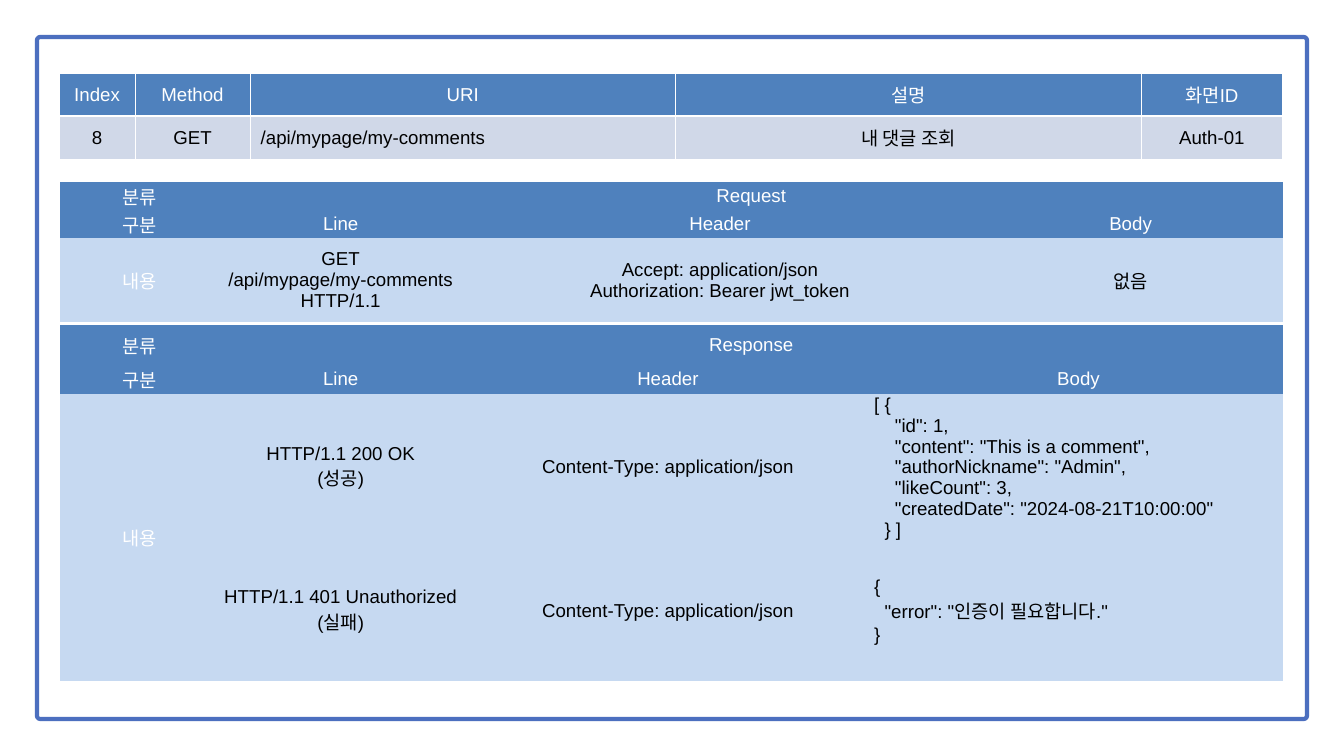
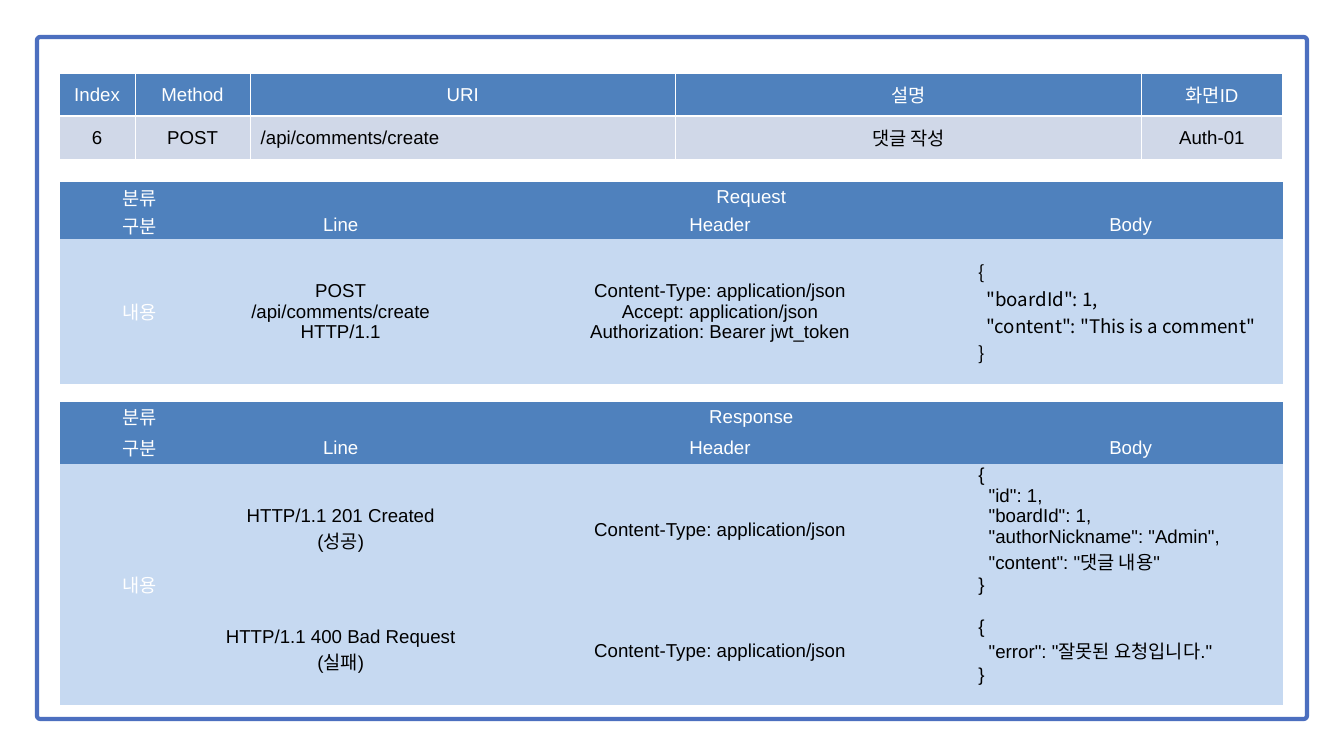
"""Builds two slides that describe the calls of a web service."""
from lxml.etree import SubElement
from pptx import Presentation
from pptx.dml.color import RGBColor
from pptx.enum.shapes import MSO_SHAPE
from pptx.enum.text import MSO_ANCHOR, PP_ALIGN
from pptx.oxml.ns import qn
from pptx.util import Inches, Pt

BLUE, PALE, GREY = "4F81BD", "C6D9F1", "D0D8E8"
WHITE, BLACK, EDGE = "FFFFFF", "000000", "4C6FBF"
SANS, NOTO = "Arial", "Noto Sans CJK KR"
PLAIN = "{2D5ABB26-0587-4C30-8999-92F81FD0307C}"
SPACE = {SANS: 0.077, NOTO: 0.06}
THIN = (0.01, 0.01, 0.01, 0)
WIDE = (0.16, 0.08, 0.16, 0.08)
FRAME = (0.55, 0.55, 18.9, 10.15)
TOP = (0.88, 1.09, 18.21, 1.28)
COLS = (2.36, 3.62, 7.67, 4.55)
JSON = "Content-Type: application/json"
TOKEN = "Authorization: Bearer jwt_token"

PAGES = [
    {
        "call": ("8", "GET", "/api/mypage/my-comments", "내 댓글 조회", "Auth-01"),
        "parts": [
            {
                "title": "Request", "box": (0.9, 2.71, 18.21, 1.95),
                "cols": COLS, "rows": (0.25, 0.23, 1.26),
                "cells": [(
                    ["GET", "/api/mypage/my-comments HTTP/1.1"],
                    ["Accept: application/json", TOKEN],
                    ["없음"],
                )],
            },
            {
                "title": "Response", "box": (0.9, 4.84, 18.21, 5.45),
                "cols": (2.36, 3.62, 6.12, 6.1), "rows": (0.58, 0.44, 2.09, 2.09),
                "cells": [
                    (["HTTP/1.1 200 OK", "(성공)"], [JSON], [
                        "[ {",
                        '    "id": 1,',
                        '    "content": "This is a comment",',
                        '    "authorNickname": "Admin",',
                        '    "likeCount": 3,',
                        '    "createdDate": "2024-08-21T10:00:00"',
                        "  } ]",
                    ]),
                    (["HTTP/1.1 401 Unauthorized", "(실패)"], [JSON],
                     ["{", '  "error": "인증이 필요합니다."', "}"]),
                ],
            },
        ],
    },
    {
        "call": ("6", "POST", "/api/comments/create", "댓글 작성", "Auth-01"),
        "parts": [
            {
                "title": "Request", "box": (0.9, 2.71, 18.21, 2.94),
                "cols": COLS, "rows": (0.43, 0.32, 2.16), "font": NOTO,
                "cells": [(
                    ["POST", "/api/comments/create HTTP/1.1"],
                    [JSON, "Accept: application/json", TOKEN],
                    ["{", '  "boardId": 1,', '  "content": "This is a comment"', "}"],
                )],
            },
            {
                "title": "Response", "box": (0.9, 5.98, 18.21, 4.56),
                "cols": COLS, "rows": (0.43, 0.49, 0.97, 1.63),
                "cells": [
                    (["HTTP/1.1 201 Created", "(성공)"], [JSON], [
                        "{",
                        '  "id": 1,',
                        '  "boardId": 1,',
                        '  "authorNickname": "Admin",',
                        '  "content": "댓글 내용"',
                        "}",
                    ]),
                    (["HTTP/1.1 400 Bad Request", "(실패)"], [JSON],
                     ["{", '  "error": "잘못된 요청입니다."', "}"]),
                ],
            },
        ],
    },
]


def paint(color, value):
    """Set a colour from a hex string."""
    color.rgb = RGBColor.from_string(value)


def rule(cell, low):
    """Draw white borders round a cell, the bottom one of the given width."""
    props = cell._tc.get_or_add_tcPr()
    for side, width in zip("LRTB", (1, 1, 1, low)):
        line = SubElement(props, qn(f"a:ln{side}"), w=str(Pt(width)))
        SubElement(SubElement(line, qn("a:solidFill")), qn("a:srgbClr"), val=WHITE)


def write(cell, lines, fill, ink=BLACK, inset=THIN, left=False, font=SANS):
    """Fill a cell with lines of text, where leading spaces become indents."""
    cell.fill.solid()
    paint(cell.fill.fore_color, fill)
    cell.vertical_anchor = MSO_ANCHOR.MIDDLE
    (cell.margin_left, cell.margin_top,
     cell.margin_right, cell.margin_bottom) = map(Inches, inset)
    frame = cell.text_frame
    for i, line in enumerate(lines):
        para = frame.add_paragraph() if i else frame.paragraphs[0]
        para.text = line.lstrip()
        para.alignment = PP_ALIGN.LEFT if left else PP_ALIGN.CENTER
        para.font.name, para.font.size = font, Pt(20)
        paint(para.font.color, ink)
        depth = len(line) - len(line.lstrip())
        if depth:
            para._p.get_or_add_pPr().set("marL", str(Inches(depth * SPACE[font])))


def grid(slide, box, cols, rows):
    """Add a table without a style and return it."""
    shape = slide.shapes.add_table(len(rows), len(cols), *map(Inches, box))
    table = shape.table
    table._tbl.tblPr.find(qn("a:tableStyleId")).text = PLAIN
    for col, width in zip(table.columns, cols):
        col.width = Inches(width)
    for row, height in zip(table.rows, rows):
        row.height = Inches(height)
    shape.height = Inches(box[3])
    return table


def border(slide, box):
    """Draw the rounded frame of a slide."""
    shape = slide.shapes.add_shape(MSO_SHAPE.ROUNDED_RECTANGLE, *map(Inches, box))
    shape.adjustments[0] = 0.005
    shape.shadow.inherit = False
    shape.fill.solid()
    paint(shape.fill.fore_color, WHITE)
    paint(shape.line.color, EDGE)
    shape.line.width = Pt(4.5)


def top(slide, box, call):
    """Add the table that sums up the call."""
    table = grid(slide, box, (1.13, 1.71, 6.33, 6.94, 2.09), (box[3] / 2,) * 2)
    heads = ("Index", "Method", "URI", "설명", "화면ID")
    for i, (head, value) in enumerate(zip(heads, call)):
        for row, low in enumerate((3, 1)):
            rule(table.cell(row, i), low)
        write(table.cell(0, i), [head], BLUE, WHITE, WIDE)
        write(table.cell(1, i), [value], GREY, inset=WIDE, left=head == "URI")


def part(slide, box, title, cols, rows, cells, font=SANS):
    """Add the table of a request or a response."""
    table = grid(slide, box, cols, rows)
    table.cell(0, 1).merge(table.cell(0, 3))
    if len(cells) > 1:
        table.cell(2, 0).merge(table.cell(len(rows) - 1, 0))
    for i, text in enumerate(("분류", title)):
        write(table.cell(0, i), [text], BLUE, WHITE)
    for i, text in enumerate(("구분", "Line", "Header", "Body")):
        write(table.cell(1, i), [text], BLUE, WHITE)
    write(table.cell(2, 0), ["내용"], PALE, WHITE)
    for y, (line, head, body) in enumerate(cells, 2):
        write(table.cell(y, 1), line, PALE)
        write(table.cell(y, 2), head, PALE)
        code = len(body) > 1
        write(table.cell(y, 3), body, PALE, left=code, font=font)


def main():
    """Build and save the slides."""
    deck = Presentation()
    deck.slide_width, deck.slide_height = Inches(20), Inches(11.25)
    for page in PAGES:
        slide = deck.slides.add_slide(deck.slide_layouts[6])
        border(slide, FRAME)
        for item in page["parts"]:
            part(slide, **item)
        top(slide, TOP, page["call"])
    deck.save("out.pptx")


if __name__ == "__main__":
    main()
